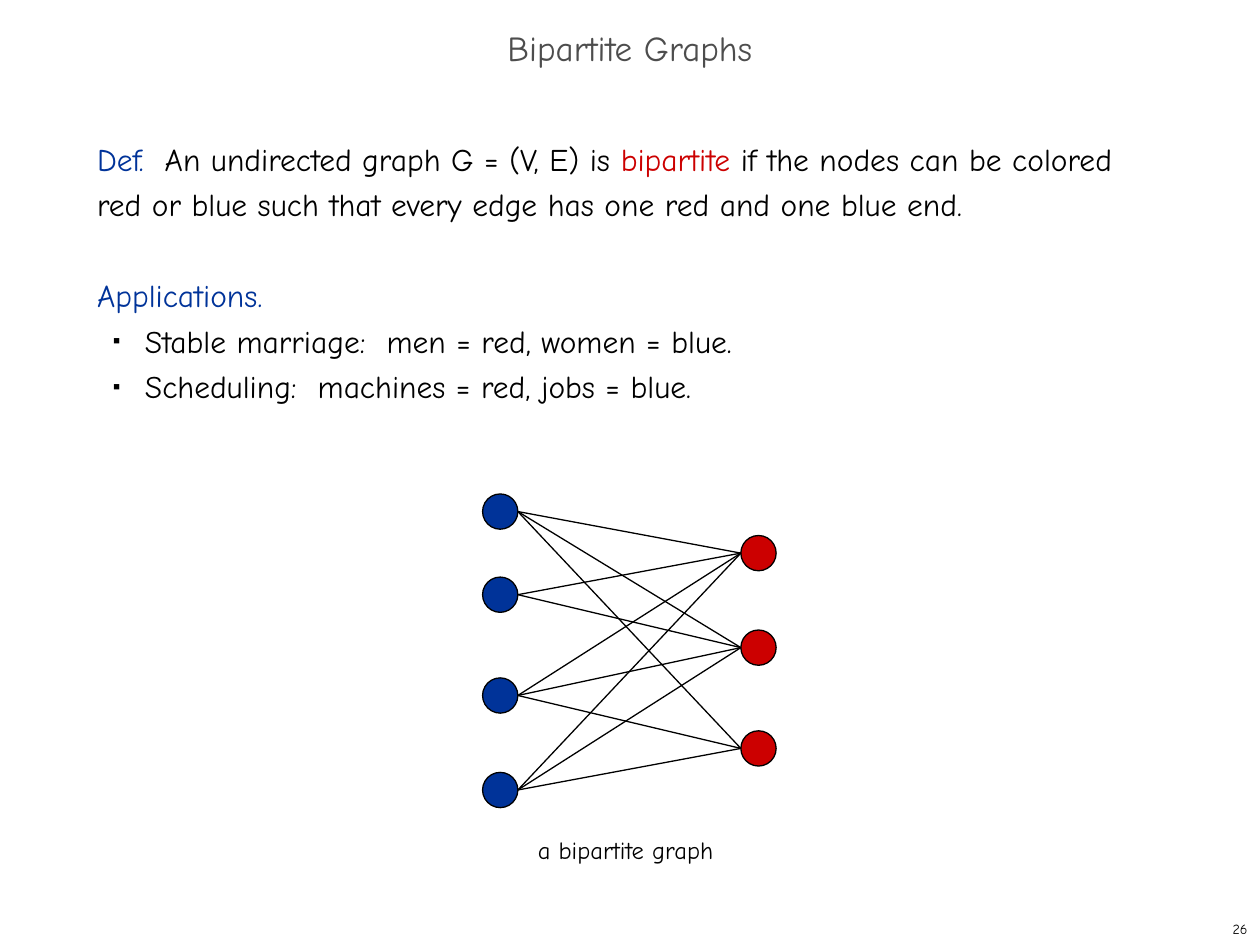
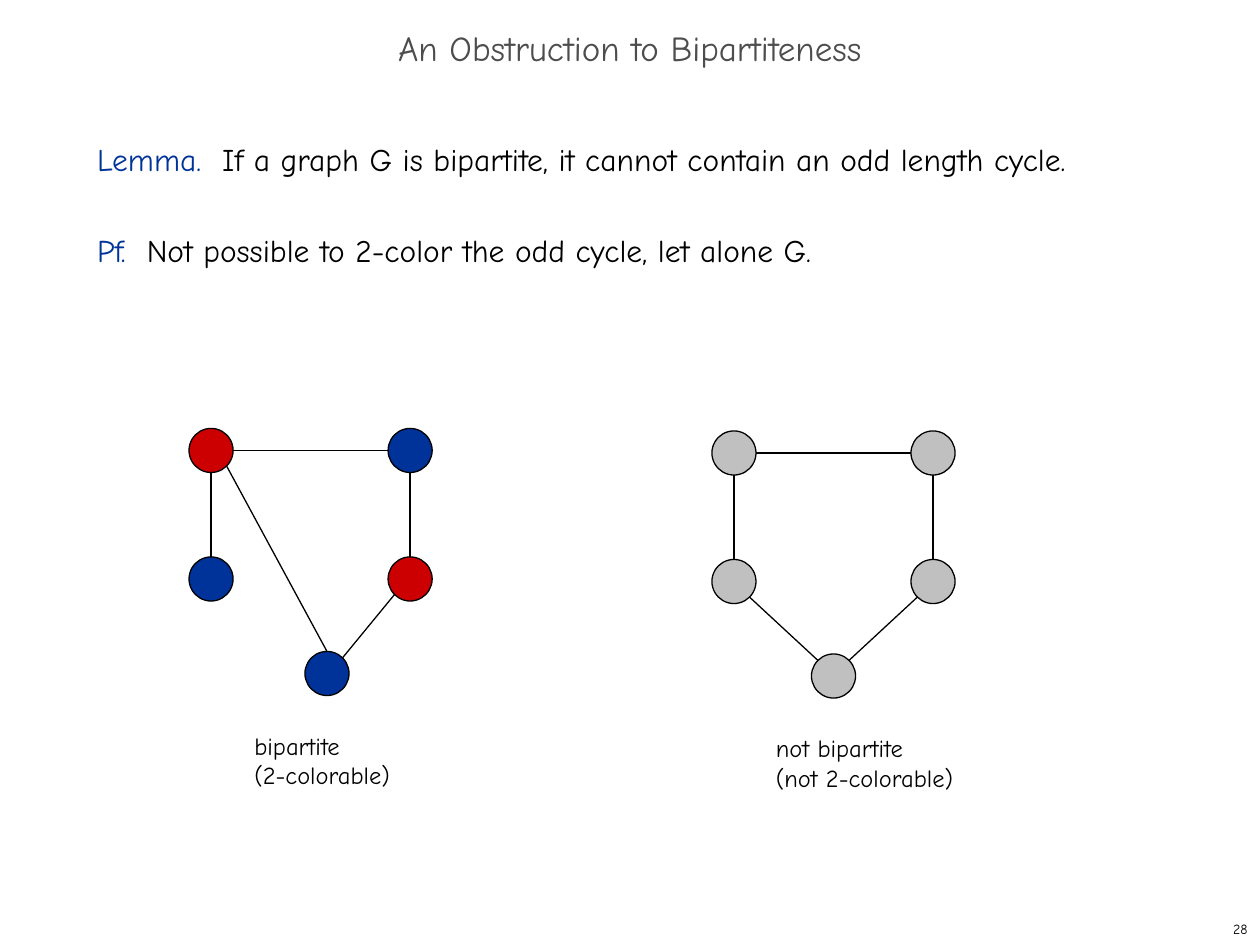
from dataclasses import dataclass
from math import cos, radians, sin

from lxml.etree import SubElement as Sub
from pptx import Presentation
from pptx.dml.color import RGBColor as Color
from pptx.enum.shapes import MSO_CONNECTOR as Link, MSO_SHAPE as Shape
from pptx.enum.text import MSO_ANCHOR as Anchor, MSO_AUTO_SIZE as Fit, PP_ALIGN as Align
from pptx.oxml.ns import qn
from pptx.util import Inches, Pt


@dataclass(frozen=True)
class Theme:
    font: str = "Comic Neue"
    black: str = "000000"
    dark: str = "4D4D4D"
    blue: str = "003399"
    red: str = "CC0000"
    gray: str = "C0C0C0"
    title: int = 20
    body: int = 18
    label: int = 14
    page: int = 8
    row: int = 26
    line: float = 0.75


@dataclass(frozen=True)
class Node:
    left: float
    top: float
    size: float
    fill: str

    def site(self, side):
        half = self.size / 2
        turn = radians(ANGLES[side])
        return (Inches(self.left + half + half * cos(turn)),
                Inches(self.top + half + half * sin(turn)))


THEME = Theme()
ANGLES = {"E": 0, "SE": 45, "S": 90, "SW": 135, "W": 180, "NW": 225, "N": 270, "NE": 315}


def place(shape, left, top, width, height):
    shape.left, shape.top = Inches(left), Inches(top)
    shape.width, shape.height = Inches(width), Inches(height)


def add_run(para, text, size, color=THEME.black):
    run = para.add_run()
    run.text = text
    run.font.name = THEME.font
    run.font.size = Pt(size)
    run.font.color.rgb = Color.from_string(color)


def set_indent(para, left, first):
    props = para._p.get_or_add_pPr()
    props.set("marL", str(Inches(left)))
    props.set("indent", str(Inches(first)))
    return props


def set_bullet(para):
    para.level = 1
    props = set_indent(para, 0.38, -0.25)
    tint = Sub(props, qn("a:buClr"))
    Sub(tint, qn("a:srgbClr"), val=THEME.black)
    Sub(props, qn("a:buSzPct"), val="35000")
    Sub(props, qn("a:buChar"), char="■")


def add_title(slide, text):
    title = slide.shapes.title
    place(title, 0, 0.17, 10, 0.5)
    frame = title.text_frame
    frame.auto_size = Fit.NONE
    frame.vertical_anchor = Anchor.MIDDLE
    para = frame.paragraphs[0]
    para.alignment = Align.CENTER
    para.line_spacing = 0.7
    add_run(para, text, THEME.title, THEME.dark)


def add_body(slide, blocks):
    body = slide.placeholders[1]
    place(body, 0.67, 1, 8.58, 5.92)
    frame = body.text_frame
    frame.auto_size = Fit.NONE
    for spot, (head, text, items) in enumerate(blocks):
        para = frame.add_paragraph() if spot else frame.paragraphs[0]
        para.line_spacing = Pt(THEME.row)
        para.space_before = Pt(THEME.row if spot else 0)
        Sub(set_indent(para, 0, 0), qn("a:buNone"))
        add_run(para, head, THEME.body, THEME.blue)
        for part, color in text:
            add_run(para, part, THEME.body, color)
        for item in items:
            para = frame.add_paragraph()
            para.line_spacing = Pt(THEME.row)
            para.space_before = Pt(0)
            set_bullet(para)
            add_run(para, item, THEME.body)


def add_page(slide, number):
    box = slide.shapes.add_textbox(Inches(7.92), Inches(7.25), Inches(2.08), Inches(0.25))
    frame = box.text_frame
    frame.word_wrap = True
    frame.vertical_anchor = Anchor.MIDDLE
    para = frame.paragraphs[0]
    para.alignment = Align.RIGHT
    add_run(para, str(number), THEME.page)


def add_label(slide, lines, left, top, width, height):
    box = slide.shapes.add_textbox(Inches(left), Inches(top), Inches(width), Inches(height))
    frame = box.text_frame
    frame.word_wrap = False
    frame.auto_size = Fit.SHAPE_TO_FIT_TEXT
    para = frame.paragraphs[0]
    for spot, line in enumerate(lines):
        if spot:
            para.add_line_break()
        add_run(para, line, THEME.label)


def set_line(line):
    line.color.rgb = Color.from_string(THEME.black)
    line.width = Pt(THEME.line)


def add_node(slide, node):
    size = Inches(node.size)
    disk = slide.shapes.add_shape(Shape.OVAL, Inches(node.left), Inches(node.top), size, size)
    disk.shadow.inherit = False
    disk.fill.solid()
    disk.fill.fore_color.rgb = Color.from_string(node.fill)
    set_line(disk.line)


def add_edge(slide, start, out, end, into):
    edge = slide.shapes.add_connector(Link.STRAIGHT, *start.site(out), *end.site(into))
    set_line(edge.line)
    Sub(edge._element.spPr, qn("a:effectLst"))


def add_graph(slide, nodes, edges):
    for node in nodes:
        add_node(slide, node)
    for start, out, end, into in edges:
        add_edge(slide, nodes[start], out, nodes[end], into)


def add_ring(slide, left, top, foot, fills, edges):
    wide, drop = 1.58, 1.02
    spots = [(0, 0), (wide, 0), (0, drop), (wide, drop), (foot, 1.77)]
    nodes = [Node(left + x, top + y, 0.35, fill) for (x, y), fill in zip(spots, fills)]
    frame = [(0, "E", 1, "W"), (2, "N", 0, "S"), (3, "N", 1, "S"), (4, "NE", 3, "SW")]
    add_graph(slide, nodes, frame + edges)


def start_slide(deck, title, blocks, number):
    slide = deck.slides.add_slide(deck.slide_layouts[1])
    add_title(slide, title)
    add_body(slide, blocks)
    add_page(slide, number)
    return slide


def add_graphs(deck):
    black, blue, red = THEME.black, THEME.blue, THEME.red
    blocks = [
        ("Def.  ", [
            ("An undirected graph G = (V, E) is ", black),
            ("bipartite", red),
            (" if the nodes can be colored red or blue such that every edge "
             "has one red and one blue end.", black),
        ], []),
        ("Applications.", [], [
            "Stable marriage:  men = red, women = blue.",
            "Scheduling:  machines = red, jobs = blue.",
        ]),
    ]
    slide = start_slide(deck, "Bipartite Graphs", blocks, 26)
    blues = [Node(3.83, top, 0.28, blue) for top in (3.92, 4.58, 5.38, 6.13)]
    reds = [Node(5.88, top, 0.28, red) for top in (4.25, 5, 5.8)]
    edges = [(i, "E", j, "W") for i in range(4) for j in range(4, 7) if (i, j) != (1, 6)]
    add_graph(slide, blues + reds, edges)
    add_label(slide, ["a bipartite graph"], 4.17, 6.58, 1.74, 0.33)


def add_proof(deck):
    black, blue, red = THEME.black, THEME.blue, THEME.red
    blocks = [
        ("Lemma.  ", [
            ("If a graph G is bipartite, it cannot contain an odd length cycle.", black),
        ], []),
        ("Pf.  ", [("Not possible to 2-color the odd cycle, let alone G.", black)], []),
    ]
    slide = start_slide(deck, "An Obstruction to Bipartiteness", blocks, 28)
    add_ring(slide, 1.5, 3.4, 0.92, [red, blue, blue, red, blue], [(4, "N", 0, "SE")])
    add_ring(slide, 5.65, 3.42, 0.79, [THEME.gray] * 5, [(2, "SE", 4, "NW")])
    add_label(slide, ["bipartite", "(2-colorable)"], 1.92, 5.75, 1.37, 0.57)
    add_label(slide, ["not bipartite", "(not 2-colorable)"], 6.06, 5.77, 1.72, 0.57)


def main():
    deck = Presentation()
    deck.slide_width, deck.slide_height = Inches(10), Inches(7.5)
    add_graphs(deck)
    add_proof(deck)
    deck.save("out.pptx")


if __name__ == "__main__":
    main()
